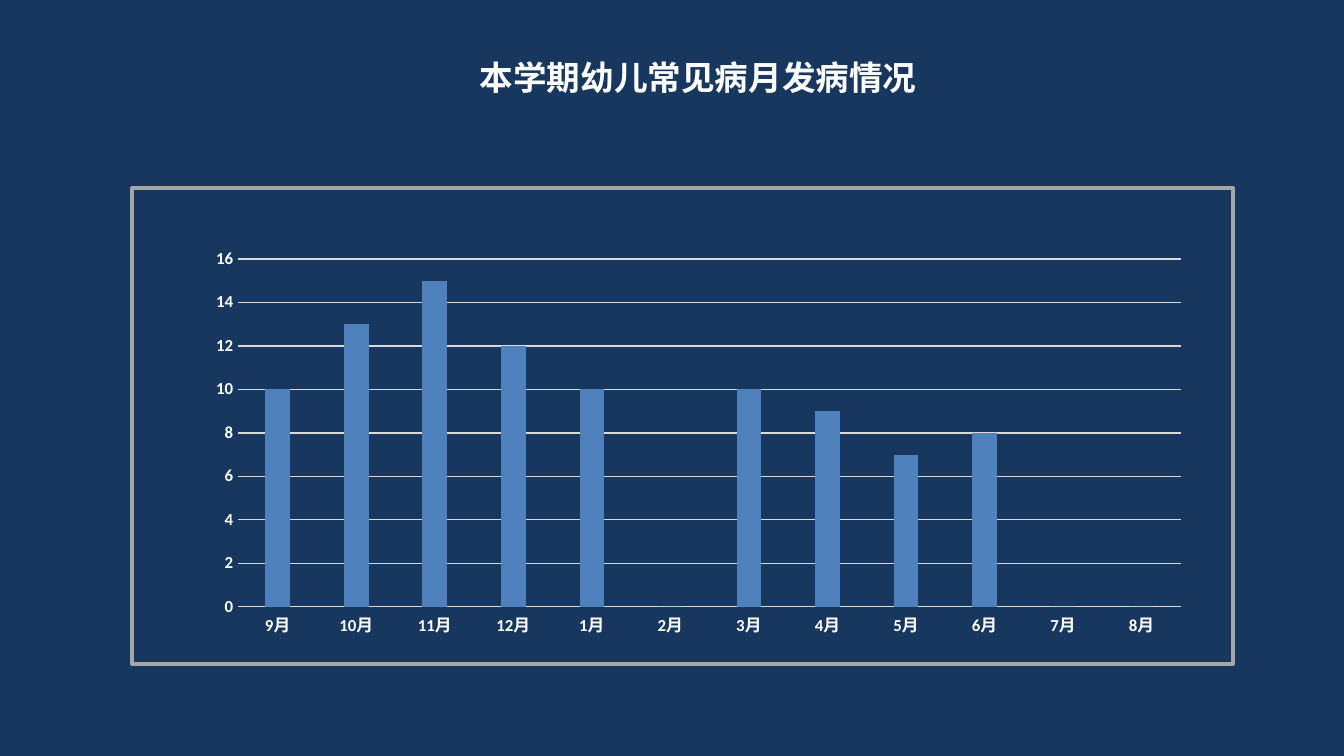
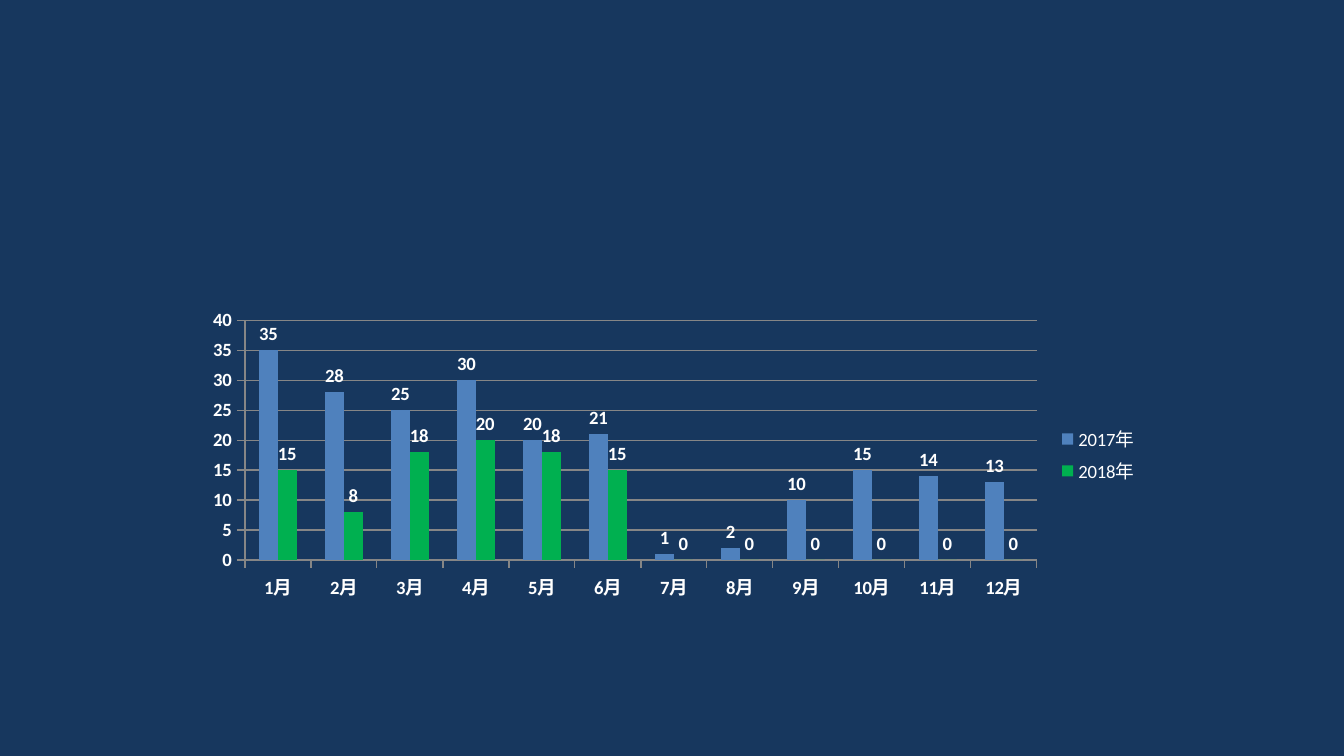
from dataclasses import dataclass
from itertools import chain

from lxml.etree import SubElement
from pptx import Presentation
from pptx.chart.data import CategoryChartData
from pptx.dml.color import RGBColor
from pptx.enum.chart import (XL_CHART_TYPE, XL_LABEL_POSITION,
                             XL_LEGEND_POSITION, XL_TICK_MARK)
from pptx.enum.shapes import MSO_SHAPE
from pptx.enum.text import MSO_AUTO_SIZE, PP_ALIGN
from pptx.oxml.ns import qn
from pptx.util import Pt

WIDE, HIGH = 1344, 756
SCALE = 9144000 / WIDE


@dataclass(frozen=True)
class Theme:
    navy: str = "17375E"
    white: str = "FFFFFF"
    frame: str = "A6A6A6"
    pale: str = "D9D9D9"
    grey: str = "868686"
    blue: str = "4F81BD"
    green: str = "00B050"
    latin: str = "Calibri"
    han: str = "Noto Sans CJK SC"
    title: int = 18
    body: int = 10
    small: int = 9


THEME = Theme()


@dataclass(frozen=True)
class Look:
    """Axis and column style of one chart."""
    size: int
    line: str
    tick: XL_TICK_MARK
    top: int
    step: int
    gap: int
    lap: int
    spine: bool


def px(*nums):
    return [round(n * SCALE) for n in nums]


def rgb(code):
    return RGBColor.from_string(code)


def style(font, size, bold=True):
    font.name = THEME.latin
    font.size = Pt(size)
    font.bold = bold
    font.color.rgb = rgb(THEME.white)


def add_box(slide, area, fill=None, line=None):
    box = slide.shapes.add_shape(MSO_SHAPE.RECTANGLE, *px(*area))
    box.shadow.inherit = False
    if fill:
        box.fill.solid()
        box.fill.fore_color.rgb = rgb(fill)
    else:
        box.fill.background()
    if line:
        box.line.color.rgb = rgb(line)
        box.line.width = Pt(2)
    else:
        box.line.fill.background()


def add_page(deck):
    slide = deck.slides.add_slide(deck.slide_layouts[6])
    add_box(slide, (0, 0, WIDE, HIGH), fill=THEME.navy)
    return slide


def add_title(slide, text, area):
    frame = slide.shapes.add_textbox(*px(*area)).text_frame
    frame.word_wrap = True
    frame.auto_size = MSO_AUTO_SIZE.SHAPE_TO_FIT_TEXT
    para = frame.paragraphs[0]
    para.text = text
    para.alignment = PP_ALIGN.CENTER
    style(para.font, THEME.title)
    para.font.name = THEME.han
    props = para.runs[0].font._element
    SubElement(props, qn("a:ea")).set("typeface", THEME.han)


def draw_line(form, color):
    form.line.color.rgb = rgb(color)
    form.line.width = Pt(0.75)


def set_axes(chart, look):
    cat, val = chart.category_axis, chart.value_axis
    for axis in (cat, val):
        axis.major_tick_mark = look.tick
        axis.minor_tick_mark = XL_TICK_MARK.NONE
        style(axis.tick_labels.font, look.size)
        draw_line(axis.format, look.line)
    if not look.spine:
        val.format.line.fill.background()
    val.minimum_scale = 0
    val.maximum_scale = look.top
    val.major_unit = look.step
    val.has_major_gridlines = True
    draw_line(val.major_gridlines.format, look.line)


def add_bars(slide, area, months, rows, look):
    """Draw clustered columns; rows hold name, colour and values."""
    data = CategoryChartData(number_format="General")
    data.categories = [f"{m}月" for m in months]
    for name, _, vals in rows:
        data.add_series(name, vals)
    kind = XL_CHART_TYPE.COLUMN_CLUSTERED
    chart = slide.shapes.add_chart(kind, *px(*area), data).chart
    chart.has_title = False
    chart.has_legend = False
    chart.font.name = THEME.latin
    chart.font.size = Pt(THEME.body)
    set_axes(chart, look)
    plot = chart.plots[0]
    plot.vary_by_categories = False
    plot.gap_width = look.gap
    plot.overlap = look.lap
    for item, (_, color, _) in zip(plot.series, rows):
        item.invert_if_negative = False
        item.format.fill.solid()
        item.format.fill.fore_color.rgb = rgb(color)
    return chart


def add_labels(chart):
    for item in chart.plots[0].series:
        tags = item.data_labels
        tags.show_value = True
        tags.position = XL_LABEL_POSITION.OUTSIDE_END
        style(tags.font, THEME.body)


def add_legend(chart):
    chart.has_legend = True
    chart.legend.position = XL_LEGEND_POSITION.RIGHT
    chart.legend.include_in_layout = False
    style(chart.legend.font, THEME.body, bold=False)


def add_term(deck):
    slide = add_page(deck)
    add_box(slide, (132, 188, 1101, 476), line=THEME.frame)
    look = Look(THEME.small, THEME.pale, XL_TICK_MARK.NONE,
                top=16, step=2, gap=219, lap=-27, spine=False)
    rows = [("Series 1", THEME.blue,
             (10, 13, 15, 12, 10, 0, 10, 9, 7, 8, 0, 0))]
    months = chain(range(9, 13), range(1, 9))
    add_bars(slide, (196, 241, 1005, 403), months, rows, look)
    add_title(slide, "本学期幼儿常见病月发病情况", (407, 50, 582, 54))


def add_years(deck):
    slide = add_page(deck)
    look = Look(THEME.body, THEME.grey, XL_TICK_MARK.OUTSIDE,
                top=40, step=5, gap=150, lap=0, spine=True)
    rows = [
        ("2017年", THEME.blue,
         (35, 28, 25, 30, 20, 21, 1, 2, 10, 15, 14, 13)),
        ("2018年", THEME.green,
         (15, 8, 18, 20, 18, 15, 0, 0, 0, 0, 0, 0)),
    ]
    chart = add_bars(slide, (194, 304, 957, 302), range(1, 13), rows, look)
    add_labels(chart)
    add_legend(chart)


def main():
    deck = Presentation()
    deck.slide_width, deck.slide_height = px(WIDE, HIGH)
    add_term(deck)
    add_years(deck)
    deck.save("out.pptx")


if __name__ == "__main__":
    main()
